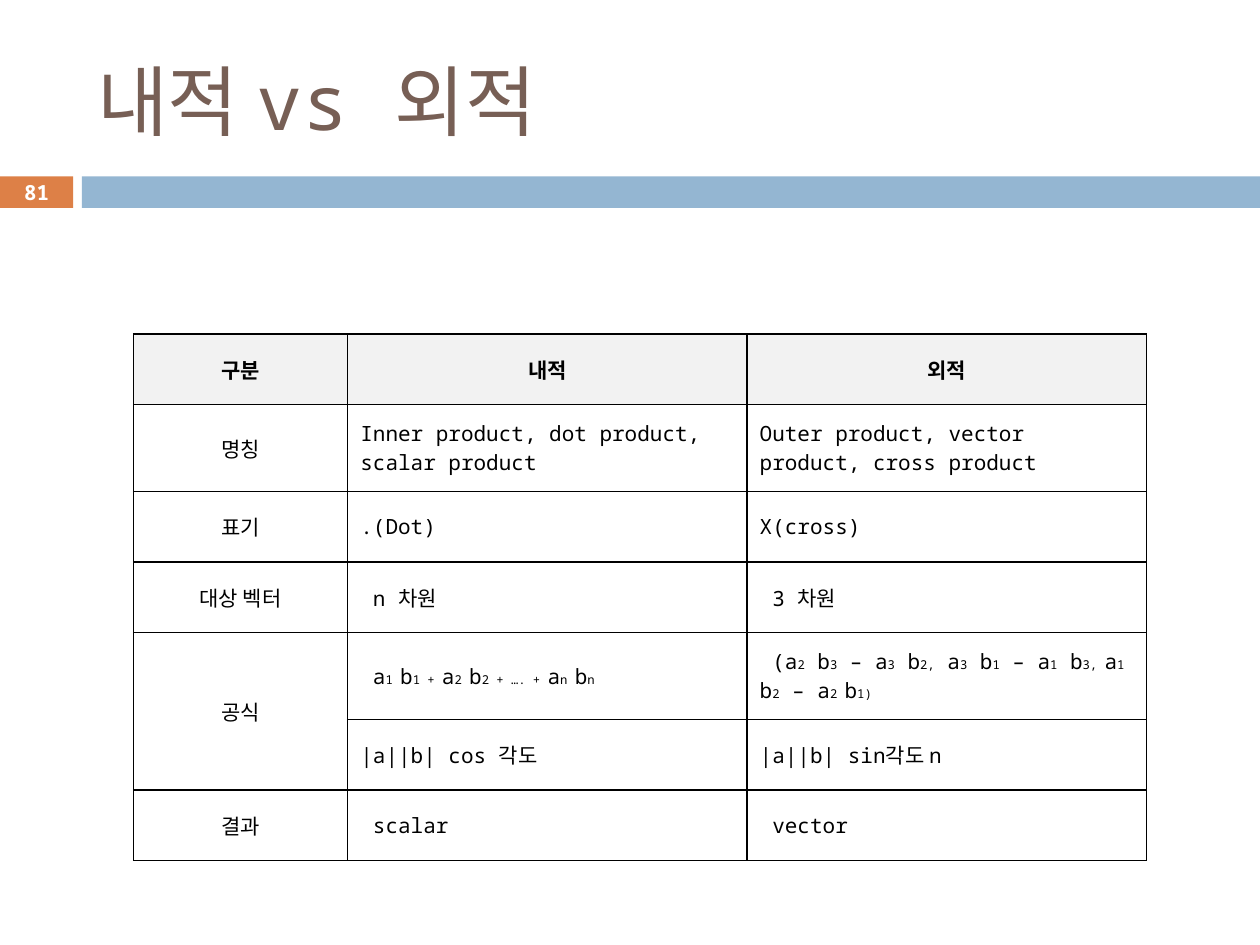
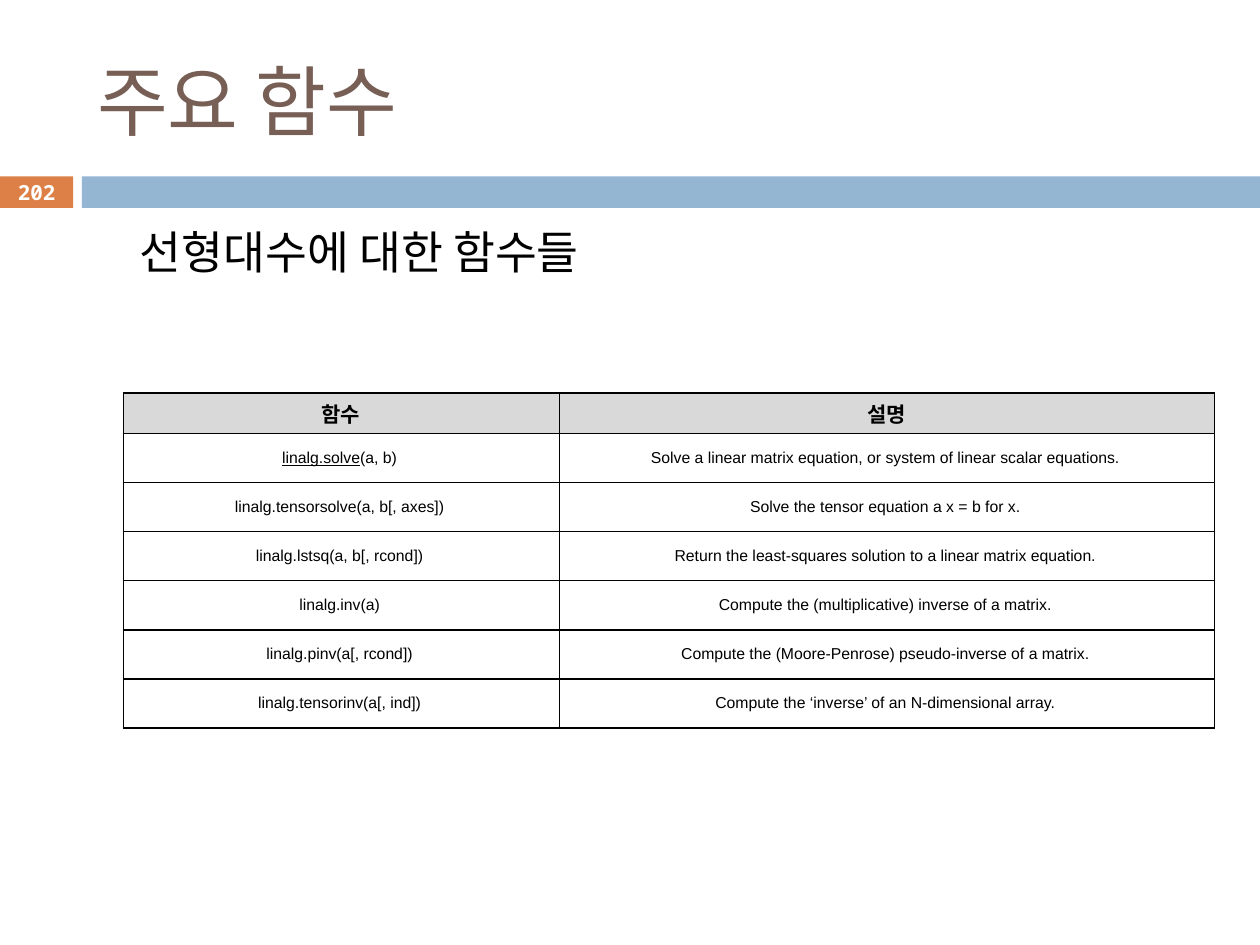
import pptx
import pptx.dml.color
import pptx.enum.shapes
import pptx.enum.text
import pptx.oxml
import pptx.oxml.ns
import pptx.util

Inches = pptx.util.Inches
ALIGN = pptx.enum.text.PP_ALIGN
MIDDLE = pptx.enum.text.MSO_ANCHOR.MIDDLE

COLORS = {
    "title": "775F55", "number": "DD8047", "band": "94B6D2",
    "black": "000000", "white": "FFFFFF",
    "light header": "F2F2F2", "dark header": "D9D9D9",
}
MONO = "Noto Sans Mono"
TITLE_ONLY, TITLE_AND_BODY = 5, 1

# "~" switches a text between its plain and its marked format.
PRODUCTS = [
    ("구분", "내적", "외적"),
    ("명칭", "Inner product, dot product, scalar product",
     "Outer product, vector product, cross product"),
    ("표기", ".(Dot)", "X(cross)"),
    ("대상 벡터", " n 차원", " 3 차원"),
    ("공식", " a~1 ~b~1 + ~a~2 ~b~2 + …. + ~a~n ~b~n",
     " (a~2~ b~3~ – a~3~ b~2,~ a~3~ b~1~ – a~1~ b~3, ~a~1~ b~2~ – a~2 ~b~1)"),
    (None, "|a||b| cos 각도", "|a||b| sin각도 n"),
    ("결과", " scalar", " vector"),
]
FUNCTIONS = [
    ("함수", "설명"),
    ("~linalg.solve~(a, b)",
     "Solve a linear matrix equation, or system of linear scalar equations."),
    ("linalg.tensorsolve(a, b[, axes])", "Solve the tensor equation a x = b for x."),
    ("linalg.lstsq(a, b[, rcond])",
     "Return the least-squares solution to a linear matrix equation."),
    ("linalg.inv(a)", "Compute the (multiplicative) inverse of a matrix."),
    ("linalg.pinv(a[, rcond])", "Compute the (Moore-Penrose) pseudo-inverse of a matrix."),
    ("linalg.tensorinv(a[, ind])", "Compute the ‘inverse’ of an N-dimensional array."),
]
SLIDES = [
    {
        "title": "내적 vs 외적", "number": "81", "rows": PRODUCTS,
        "place": (1.06, 2.65), "columns": (1.7, 3.17, 3.17),
        "heights": [0.69 if row in (1, 4) else 0.56 for row in range(len(PRODUCTS))],
        "header": {"fill": "light header", "bold": True},
        "cells": {"marked": {"size": 7}},
        "left_from": 1,
    },
    {
        "title": "주요 함수", "number": "202", "rows": FUNCTIONS,
        "body": "선형대수에 대한 함수들",
        "place": (0.98, 3.12), "columns": (3.46, 5.2),
        "heights": [0.32] + [0.39] * (len(FUNCTIONS) - 1),
        "header": {"fill": "dark header", "bold": True, "font": "Arial",
                   "insets": (0.02, 0, 0.03, 0)},
        "cells": {"font": "Arial", "size": 9, "insets": (0.04, 0.01, 0.07, 0.01),
                  "marked": {"underline": True}},
    },
]


def rgb(name):
    return pptx.dml.color.RGBColor.from_string(COLORS[name])


def write(frame, text, size=12, font=MONO, color="black", bold=False,
          align=ALIGN.LEFT, marked=None):
    """Fill the first paragraph; odd parts between "~" take the marked format."""
    frame.word_wrap = True
    paragraph = frame.paragraphs[0]
    paragraph.alignment = align
    for index, part in enumerate(text.split("~")):
        if not part:
            continue
        special = marked if marked and index % 2 else {}
        run = paragraph.add_run()
        run.text = part
        run.font.name = font
        run.font.size = pptx.util.Pt(special.get("size", size))
        run.font.bold = bold
        run.font.underline = special.get("underline", False)
        run.font.color.rgb = rgb(color)
    return paragraph


def move(shape, left, top, width, height):
    shape.left, shape.top = Inches(left), Inches(top)
    shape.width, shape.height = Inches(width), Inches(height)


def add_band(slide, left, width, color):
    band = slide.shapes.add_shape(
        pptx.enum.shapes.MSO_SHAPE.RECTANGLE,
        Inches(left), Inches(1.4), Inches(width), Inches(0.25))
    band.shadow.inherit = False
    band.fill.solid()
    band.fill.fore_color.rgb = rgb(color)
    band.line.fill.background()


def add_frame(slide, title, number):
    """Add what all slides share: title, bands and slide number."""
    add_band(slide, 0, 0.58, "number")
    add_band(slide, 0.65, 9.35, "band")
    move(slide.shapes.title, 0.67, 0.25, 8.92, 1.08)
    frame = slide.shapes.title.text_frame
    frame.vertical_anchor = MIDDLE
    frame.auto_size = pptx.enum.text.MSO_AUTO_SIZE.NONE
    write(frame, title, size=44, color="title")
    box = slide.shapes.add_textbox(0, Inches(1.39), Inches(0.58), Inches(0.27))
    box.text_frame.vertical_anchor = MIDDLE
    write(box.text_frame, number, size=11.9, color="white", bold=True, align=ALIGN.CENTER)


def add_body(slide, text):
    body = slide.placeholders[1]
    move(body, 0.51, 1.73, 9, 1.47)
    body.text_frame.auto_size = pptx.enum.text.MSO_AUTO_SIZE.NONE
    paragraph = write(body.text_frame, text, size=26)
    paragraph.level = 1
    paragraph.space_before = pptx.util.Pt(5.5)
    properties = paragraph._p.get_or_add_pPr()
    properties.set("marL", str(Inches(0.5)))
    properties.set("indent", "0")
    properties.append(pptx.oxml.parse_xml(f"<a:buNone {pptx.oxml.ns.nsdecls('a')}/>"))


def add_borders(cell):
    for side in "LRTB":
        cell._tc.get_or_add_tcPr().append(pptx.oxml.parse_xml(
            f'<a:ln{side} {pptx.oxml.ns.nsdecls("a")} w="{pptx.util.Pt(1)}"><a:solidFill>'
            f'<a:srgbClr val="{COLORS["black"]}"/></a:solidFill></a:ln{side}>'))


def format_cell(cell, text, fill="white", insets=(0.1, 0.05, 0.1, 0.05), **text_format):
    add_borders(cell)
    cell.fill.solid()
    cell.fill.fore_color.rgb = rgb(fill)
    cell.vertical_anchor = MIDDLE
    (cell.margin_left, cell.margin_top,
     cell.margin_right, cell.margin_bottom) = map(Inches, insets)
    if text is not None:
        write(cell.text_frame, text, **text_format)


def add_grid(slide, rows, place, columns, heights, header, cells, left_from=None):
    """Add a table; body columns from left_from on are left-aligned."""
    table = slide.shapes.add_table(
        len(rows), len(columns), *map(Inches, place),
        Inches(sum(columns)), Inches(sum(heights))).table
    table.first_row = table.horz_banding = False
    for column, width in zip(table.columns, columns):
        column.width = Inches(width)
    for row_index, texts in enumerate(rows):
        table.rows[row_index].height = Inches(heights[row_index])
        for column_index, text in enumerate(texts):
            is_left = row_index and left_from is not None and column_index >= left_from
            format_cell(table.cell(row_index, column_index), text,
                        align=ALIGN.LEFT if is_left else ALIGN.CENTER,
                        **(cells if row_index else header))
            if text is None:
                table.cell(row_index - 1, column_index).merge(
                    table.cell(row_index, column_index))


def main():
    presentation = pptx.Presentation()
    presentation.slide_width, presentation.slide_height = Inches(10), Inches(7.5)
    for content in SLIDES:
        grid = dict(content)
        title, number, body = grid.pop("title"), grid.pop("number"), grid.pop("body", None)
        layout = presentation.slide_layouts[TITLE_AND_BODY if body else TITLE_ONLY]
        slide = presentation.slides.add_slide(layout)
        add_frame(slide, title, number)
        if body:
            add_body(slide, body)
        add_grid(slide, **grid)
    presentation.save("out.pptx")


if __name__ == "__main__":
    main()
